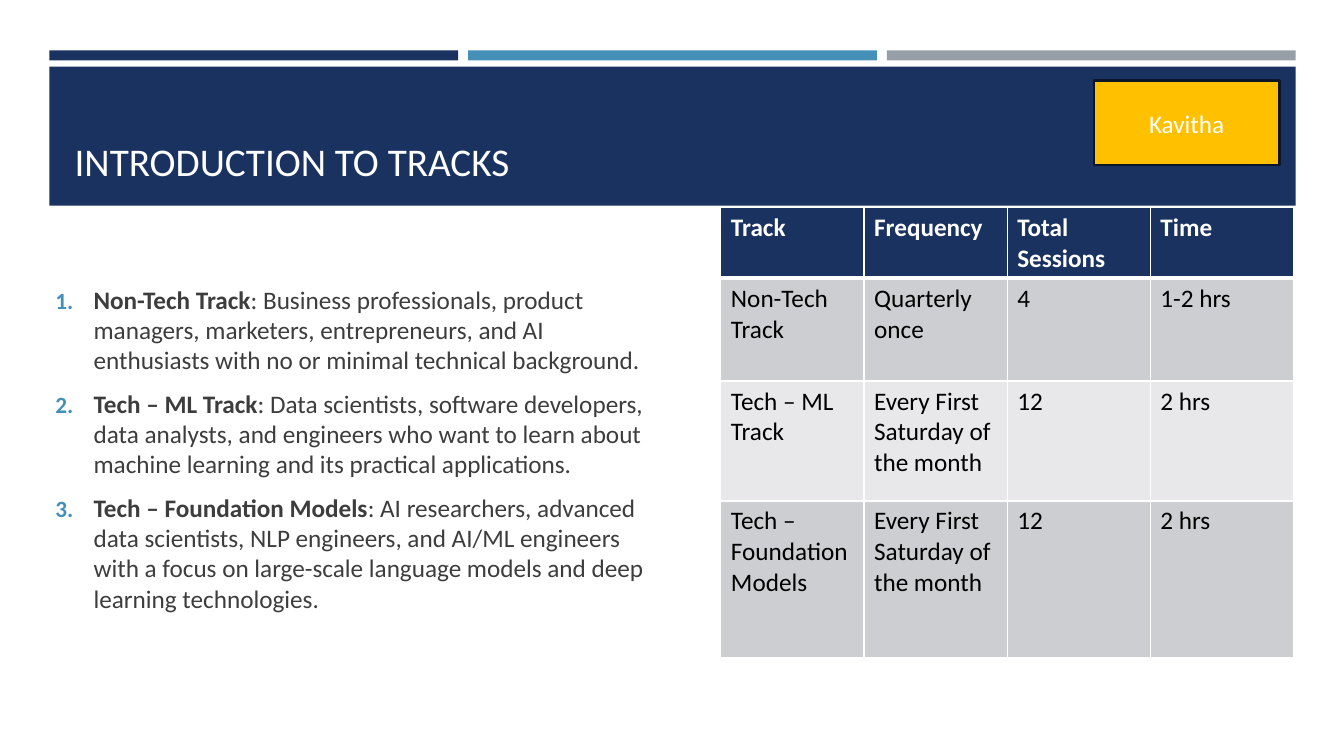
from lxml import etree
from pptx import Presentation
from pptx.dml.color import RGBColor
from pptx.enum.shapes import MSO_SHAPE
from pptx.enum.text import MSO_ANCHOR, PP_ALIGN
from pptx.oxml.ns import qn
from pptx.util import Inches, Pt

RECTANGLE = MSO_SHAPE.RECTANGLE
BOTTOM, MIDDLE = MSO_ANCHOR.BOTTOM, MSO_ANCHOR.MIDDLE
LEFT, CENTER = PP_ALIGN.LEFT, PP_ALIGN.CENTER

NAVY = RGBColor(0x1A, 0x32, 0x60)
BLUE = RGBColor(0x45, 0x90, 0xB8)
GRAY = RGBColor(0x96, 0x9F, 0xA7)
GOLD = RGBColor(0xFF, 0xC0, 0x00)
DARK_EDGE = RGBColor(0x0B, 0x16, 0x2A)
WHITE = RGBColor(0xFF, 0xFF, 0xFF)
BLACK = RGBColor(0x00, 0x00, 0x00)
TEXT_GRAY = RGBColor(0x3D, 0x3D, 0x3D)
ROW_DARK = RGBColor(0xCD, 0xCE, 0xD2)
ROW_LIGHT = RGBColor(0xE8, 0xE8, 0xEA)

FONT = "Calibri"
TITLE_ONLY = 5
SLIDE_WIDTH, SLIDE_HEIGHT = 13.33, 7.5
MARGIN, BAND_WIDTH, BAR_GAP = 0.49, 12.36, 0.1
COLUMN_WIDTH = 1.42
ROW_HEIGHTS = [0.7, 1.02, 1.19, 1.55]

TRACKS = [
    ("Non-Tech Track", ": Business professionals, product managers, marketers, "
     "entrepreneurs, and AI enthusiasts with no or minimal technical background."),
    ("Tech – ML Track", ": Data scientists, software developers, data analysts, and "
     "engineers who want to learn about machine learning and its practical applications."),
    ("Tech – Foundation Models", ": AI researchers, advanced data scientists, NLP "
     "engineers, and AI/ML engineers with a focus on large-scale language models and "
     "deep learning technologies."),
]
SCHEDULE = [
    ["Track", "Frequency", "Total Sessions", "Time"],
    ["Non-Tech Track", "Quarterly once", "4", "1-2 hrs"],
    ["Tech – ML Track", "Every First Saturday of the month", "12", "2 hrs"],
    ["Tech – Foundation Models", "Every First Saturday of the month", "12", "2 hrs"],
]


def place(shape, left, top, width, height):
    """Set a shape's position and size in inches."""
    shape.left, shape.top = Inches(left), Inches(top)
    shape.width, shape.height = Inches(width), Inches(height)


def add_text(paragraph, text, size=18, color=WHITE, bold=False, align=LEFT):
    """Append a formatted run to a paragraph."""
    paragraph.alignment = align
    run = paragraph.add_run()
    run.text = text
    run.font.name, run.font.size, run.font.bold = FONT, Pt(size), bold
    run.font.color.rgb = color


def add_block(slide, box, fill, edge=None):
    """Add a filled rectangle with an optional outline."""
    shape = slide.shapes.add_shape(RECTANGLE, *map(Inches, box))
    shape.shadow.inherit = False
    shape.fill.solid()
    shape.fill.fore_color.rgb = fill
    if edge is None:
        shape.line.fill.background()
    else:
        shape.line.color.rgb = edge
        shape.line.width = Pt(1.75)
    return shape


def add_header(slide):
    """Draw the three bars and the title band behind the title."""
    title = slide.shapes.title
    bar_width = (BAND_WIDTH - 2 * BAR_GAP) / 3
    for index, color in enumerate([NAVY, BLUE, GRAY]):
        left = MARGIN + index * (bar_width + BAR_GAP)
        bar = add_block(slide, (left, 0.5, bar_width, 0.1), color)
        title.element.addprevious(bar.element)
    band = add_block(slide, (MARGIN, 0.66, BAND_WIDTH, 1.38), NAVY)
    title.element.addprevious(band.element)
    place(title, 0.64, 0.8, 12.06, 1.08)
    title.text_frame.vertical_anchor = BOTTOM
    add_text(title.text_frame.paragraphs[0], "INTRODUCTION TO TRACKS", size=28)


def number_paragraph(paragraph):
    """Give a paragraph a coloured automatic number and a hanging indent."""
    properties = paragraph._p.get_or_add_pPr()
    properties.set("marL", str(Inches(0.38)))
    properties.set("indent", str(-Inches(0.38)))
    color = etree.SubElement(properties, qn("a:buClr"))
    etree.SubElement(color, qn("a:srgbClr"), val=str(BLUE))
    etree.SubElement(properties, qn("a:buSzPct"), val="92000")
    etree.SubElement(properties, qn("a:buFont"), typeface="+mj-lt")
    etree.SubElement(properties, qn("a:buAutoNum"), type="arabicPeriod")


def add_track_list(slide):
    """Add the numbered descriptions of the tracks."""
    box = slide.shapes.add_textbox(*map(Inches, (0.45, 2.44, 6.12, 4.02)))
    frame = box.text_frame
    frame.word_wrap = True
    frame.vertical_anchor = MIDDLE
    for index, (name, audience) in enumerate(TRACKS):
        paragraph = frame.add_paragraph() if index else frame.paragraphs[0]
        number_paragraph(paragraph)
        paragraph.space_before = Pt(3.6 if index else 0)
        paragraph.space_after = Pt(6)
        add_text(paragraph, name, color=TEXT_GRAY, bold=True)
        add_text(paragraph, audience, color=TEXT_GRAY)


def set_borders(cell, widths):
    """Draw white cell borders, with widths in points by side."""
    properties = cell._tc.get_or_add_tcPr()
    for position, (side, width) in enumerate(widths.items()):
        line = etree.Element(qn(f"a:{side}"), w=str(Pt(width)))
        fill = etree.SubElement(line, qn("a:solidFill"))
        etree.SubElement(fill, qn("a:srgbClr"), val=str(WHITE))
        properties.insert(position, line)


def add_schedule(slide):
    """Add the table of session frequency and length."""
    columns = len(SCHEDULE[0])
    box = (7.15, 2.06, columns * COLUMN_WIDTH, sum(ROW_HEIGHTS))
    frame = slide.shapes.add_table(len(SCHEDULE), columns, *map(Inches, box))
    table = frame.table
    for column in table.columns:
        column.width = Inches(COLUMN_WIDTH)
    for index, (row, height) in enumerate(zip(table.rows, ROW_HEIGHTS)):
        row.height = Inches(height)
        header = index == 0
        fill = NAVY if header else ROW_DARK if index % 2 else ROW_LIGHT
        widths = {"lnL": 1, "lnR": 1, "lnT": 3 if index == 1 else 1,
                  "lnB": 3 if header else 1}
        for cell, text in zip(row.cells, SCHEDULE[index]):
            cell.fill.solid()
            cell.fill.fore_color.rgb = fill
            set_borders(cell, widths)
            add_text(cell.text_frame.paragraphs[0], text,
                     color=WHITE if header else BLACK, bold=header)


def add_presenter(slide):
    """Add the gold tag with the presenter's name."""
    tag = add_block(slide, (10.85, 0.8, 1.84, 0.84), GOLD, edge=DARK_EDGE)
    tag.text_frame.vertical_anchor = MIDDLE
    add_text(tag.text_frame.paragraphs[0], "Kavitha", align=CENTER)


def main():
    """Build the slide and save the presentation."""
    presentation = Presentation()
    presentation.slide_width = Inches(SLIDE_WIDTH)
    presentation.slide_height = Inches(SLIDE_HEIGHT)
    slide = presentation.slides.add_slide(presentation.slide_layouts[TITLE_ONLY])
    add_header(slide)
    add_track_list(slide)
    add_schedule(slide)
    add_presenter(slide)
    presentation.save("out.pptx")


if __name__ == "__main__":
    main()
